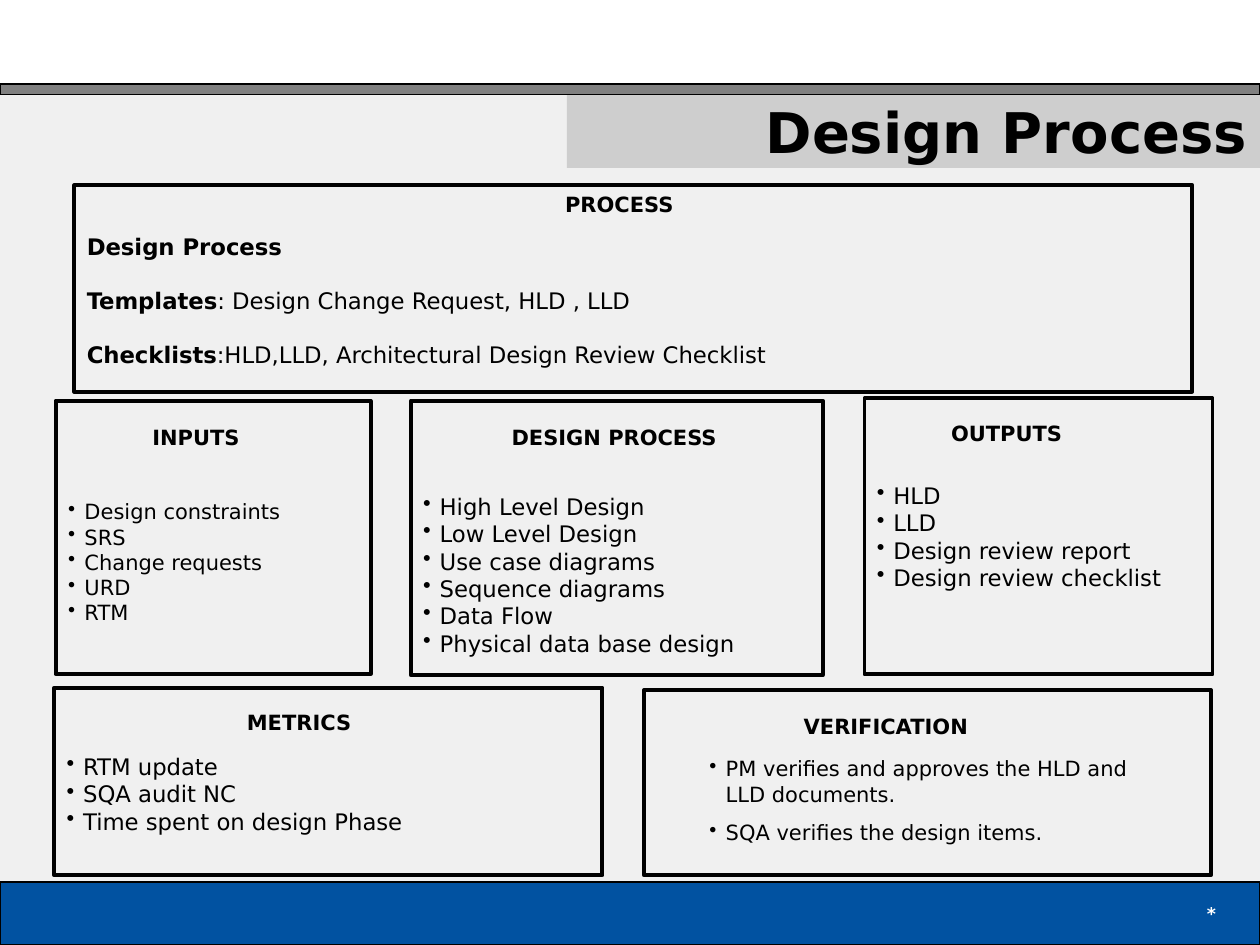
from lxml import etree
from pptx import Presentation
from pptx.dml.color import RGBColor
from pptx.enum import shapes, text
from pptx.oxml import ns
from pptx.util import Pt

BLACK, WHITE = "000000", "FFFFFF"
LINE_HEIGHT = 1.164  # DejaVu Sans line height per point of size
LEFT, CENTER, RIGHT = text.PP_ALIGN.LEFT, text.PP_ALIGN.CENTER, text.PP_ALIGN.RIGHT


def color(value):
    return RGBColor.from_string(value)


class SlideBuilder:
    font = "DejaVu Sans"
    indent = 9.4
    heading_size = 12
    frame_width = 2.25

    def __init__(self, slide):
        self.slide = slide

    def rectangle(self, left, top, width, height, fill=None, line=None, line_width=0.75):
        shape = self.slide.shapes.add_shape(
            shapes.MSO_SHAPE.RECTANGLE, Pt(left), Pt(top), Pt(width), Pt(height))
        shape.shadow.inherit = False
        if fill:
            shape.fill.solid()
            shape.fill.fore_color.rgb = color(fill)
        else:
            shape.fill.background()
        if line:
            shape.line.color.rgb = color(line)
            shape.line.width = Pt(line_width)
        else:
            shape.line.fill.background()
        return shape

    def frame(self, left, top, width, height):
        return self.rectangle(left, top, width, height, line=BLACK, line_width=self.frame_width)

    def text_box(self, left, top, width, height):
        return self.slide.shapes.add_textbox(Pt(left), Pt(top), Pt(width), Pt(height))

    def set_lines(self, shape, lines, size, bold=False, align=LEFT, ink=BLACK,
                  anchor=text.MSO_ANCHOR.MIDDLE, gap=0, heading_lines=0):
        """Set one paragraph per line, keeping heading_lines free at the top."""
        frame = shape.text_frame
        frame.word_wrap = True
        frame.vertical_anchor = anchor
        frame.margin_top = Pt(3.6 + heading_lines * self.heading_size * LINE_HEIGHT)
        frame.text = "\n".join(lines)
        for index, paragraph in enumerate(frame.paragraphs):
            paragraph.alignment = align
            if index and gap:
                paragraph.space_before = Pt(gap)
            for run in paragraph.runs:
                self.style(run, size, bold, ink)
        return frame.paragraphs

    def style(self, run, size, bold=False, ink=BLACK):
        run.font.name = self.font
        run.font.size = Pt(size)
        run.font.bold = bold
        run.font.color.rgb = color(ink)

    def heading(self, label, left, top, width, align=LEFT):
        self.set_lines(self.text_box(left, top, width, 21.6), [label], self.heading_size,
                       bold=True, align=align, anchor=text.MSO_ANCHOR.TOP)

    def bullets(self, shape, lines, size, **options):
        for paragraph in self.set_lines(shape, lines, size, **options):
            properties = paragraph._p.get_or_add_pPr()
            properties.set("marL", str(Pt(self.indent)))
            properties.set("indent", str(-Pt(self.indent)))
            bullet_color = etree.SubElement(properties, ns.qn("a:buClr"))
            etree.SubElement(bullet_color, ns.qn("a:srgbClr"), val=BLACK)
            etree.SubElement(properties, ns.qn("a:buChar"), char="•")

    def labelled_lines(self, shape, pairs, size, gap, heading_lines):
        """Set lines that start with a bold label and go on in regular type."""
        labels = [label for label, _ in pairs]
        paragraphs = self.set_lines(shape, labels, size, bold=True, gap=gap,
                                    heading_lines=heading_lines)
        for paragraph, (_, rest) in zip(paragraphs, pairs):
            if rest:
                run = paragraph.add_run()
                run.text = rest
                self.style(run, size)


def main():
    presentation = Presentation()
    presentation.slide_width, presentation.slide_height = Pt(720), Pt(540)
    slide = presentation.slides.add_slide(presentation.slide_layouts[6])
    slide.background.fill.solid()
    slide.background.fill.fore_color.rgb = color("F0F0F0")
    builder = SlideBuilder(slide)

    # Header and footer bands
    builder.rectangle(0, 504, 720, 36, fill="0152A1", line=BLACK)
    builder.set_lines(builder.text_box(552, 504, 150, 36), ["*"], 10,
                      bold=True, align=RIGHT, ink=WHITE)
    title = builder.rectangle(324, 54, 396, 42, fill="CECECE")
    builder.set_lines(title, ["Design Process"], 32, bold=True, align=RIGHT)
    builder.rectangle(0, 0, 720, 48, fill=WHITE)
    builder.rectangle(0, 48, 720, 6, fill="808080", line=BLACK)

    # Process overview
    builder.labelled_lines(builder.frame(42.5, 105.8, 638.8, 118), [
        ("Design Process", ""),
        ("Templates", ": Design Change Request, HLD , LLD"),
        ("Checklists", ":HLD,LLD, Architectural Design Review Checklist"),
    ], 13, gap=13 * LINE_HEIGHT, heading_lines=1)

    # Framed lists: frame, text size, lines kept free for the heading, items
    lists = [
        ((31, 393, 313.2, 107.2), 13, 1,
         ["RTM update", "SQA audit NC", "Time spent on design Phase"]),
        ((234.8, 229, 235.4, 156.8), 13, 3,
         ["High Level Design", "Low Level Design", "Use case diagrams",
          "Sequence diagrams", "Data Flow", "Physical data base design"]),
        ((31.8, 229, 180, 156.2), 12, 2,
         ["Design constraints", "SRS", "Change requests", "URD", "RTM"]),
        ((494, 227.7, 198.9, 157.6), 13, 0,
         ["HLD", "LLD", "Design review report", "Design review checklist"]),
    ]
    for box, size, heading_lines, items in lists:
        builder.bullets(builder.frame(*box), items, size, heading_lines=heading_lines)

    # Verification
    builder.frame(368, 394.4, 324, 105.8)
    builder.bullets(builder.text_box(398.2, 428.4, 257.8, 58.3), [
        "PM verifies and approves the HLD and LLD documents.",
        "SQA verifies the design items.",
    ], 12, gap=7.5, anchor=text.MSO_ANCHOR.TOP)

    for label, left, top, width, align in [
        ("PROCESS", 315.8, 105.8, 102.2, LEFT),
        ("METRICS", 134, 401.8, 84.2, LEFT),
        ("OUTPUTS", 536.4, 236.9, 84.2, LEFT),
        ("INPUTS", 80, 239, 84.2, LEFT),
        ("VERIFICATION", 452.2, 404, 131.8, LEFT),
        ("DESIGN PROCESS", 236.9, 239, 228.2, CENTER),
    ]:
        builder.heading(label, left, top, width, align)

    presentation.save("out.pptx")


if __name__ == "__main__":
    main()
